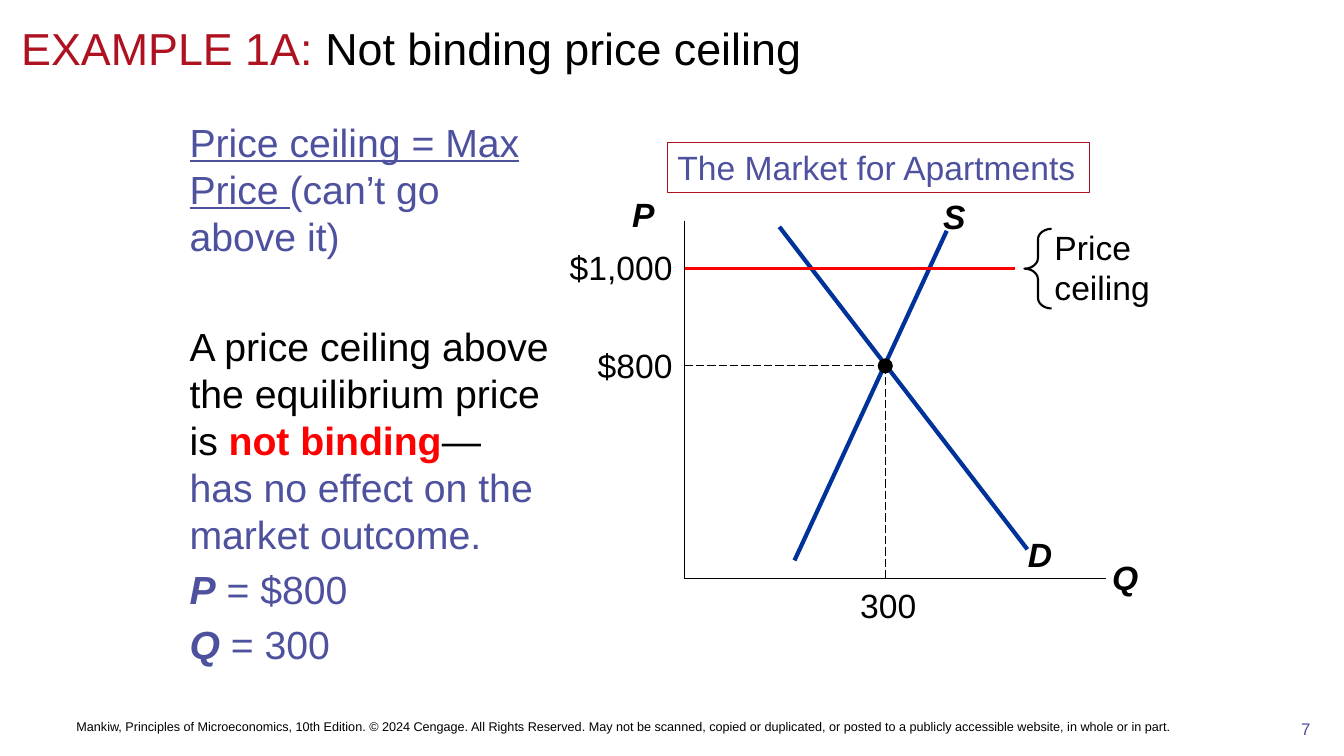
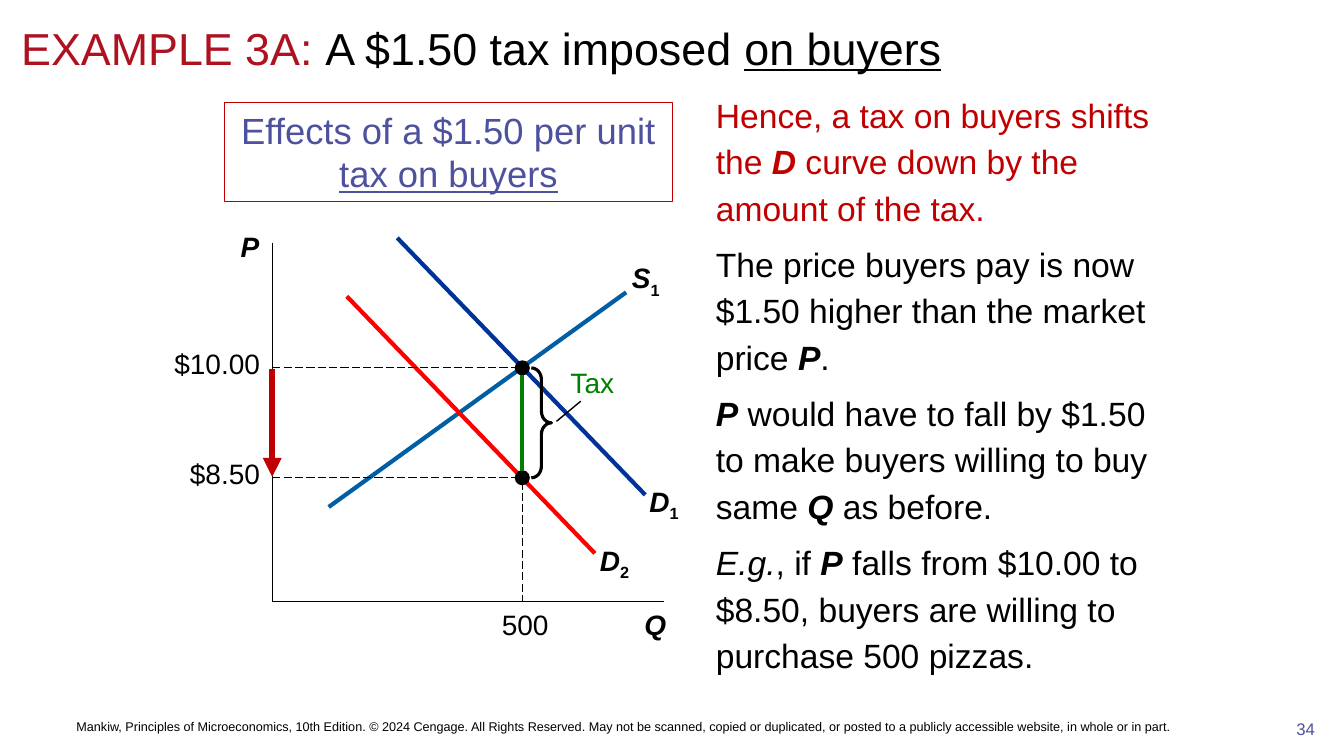
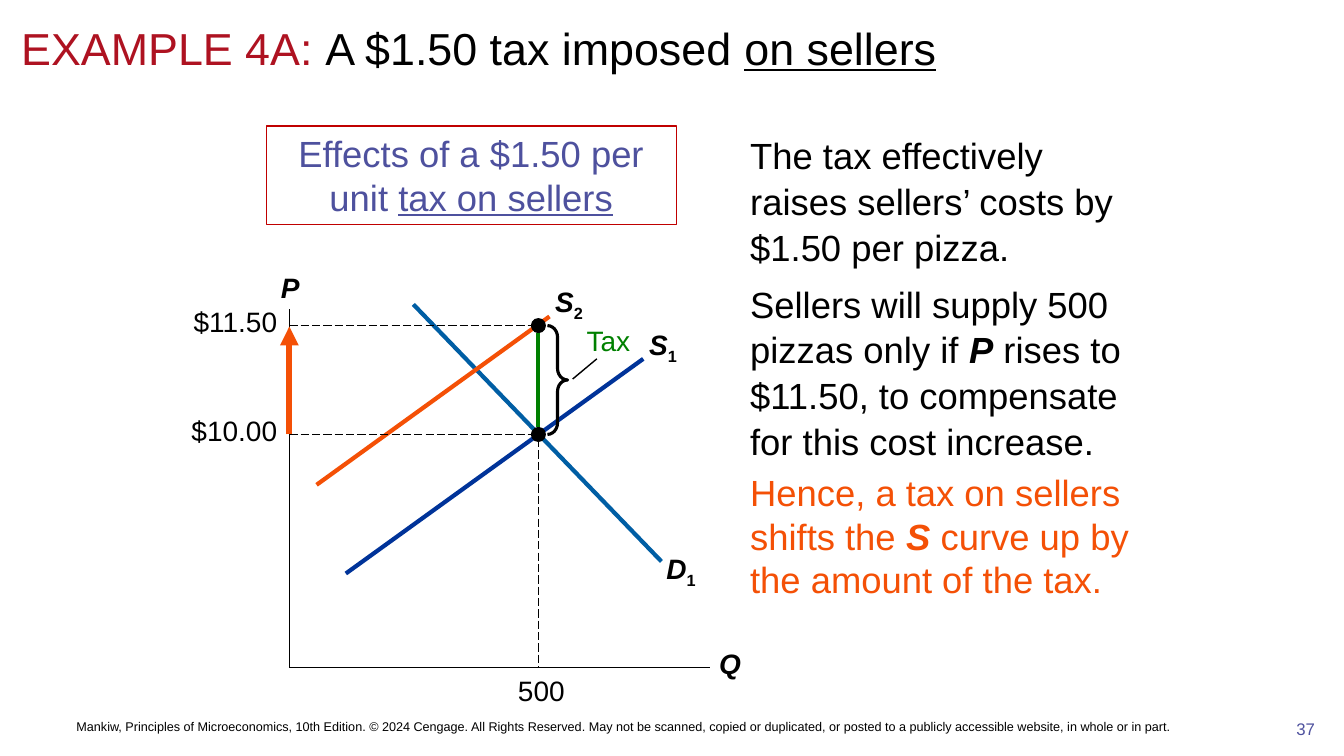
from lxml import etree
from pptx import Presentation
from pptx.dml.color import RGBColor
from pptx.enum import dml, shapes, text
from pptx.oxml.ns import qn
from pptx.util import Inches, Pt

FONT = "Arial"
BLACK = RGBColor(0x00, 0x00, 0x00)
CRIMSON = RGBColor(0xAE, 0x12, 0x21)
DARK_RED = RGBColor(0xC0, 0x00, 0x00)
RED = RGBColor(0xFF, 0x00, 0x00)
ORANGE = RGBColor(0xF4, 0x50, 0x06)
GREEN = RGBColor(0x00, 0x80, 0x00)
VIOLET = RGBColor(0x4E, 0x51, 0x9E)
NAVY = RGBColor(0x00, 0x33, 0x99)
BLUE = RGBColor(0x00, 0x5E, 0xA4)

LEFT, CENTER, RIGHT = text.PP_ALIGN.LEFT, text.PP_ALIGN.CENTER, text.PP_ALIGN.RIGHT
COPYRIGHT = (
    "Mankiw, Principles of Microeconomics, 10th Edition. © 2024 Cengage. "
    "All Rights Reserved. May not be scanned, copied or duplicated, or posted "
    "to a publicly accessible website, in whole or in part."
)
DOT = 0.15


def write(frame, paragraphs, size, color=BLACK, align=LEFT):
    """Fill a frame; a run is (text, marks, colour), marks being b, i, u or _ (subscript)."""
    frame.word_wrap = True
    frame.auto_size = text.MSO_AUTO_SIZE.NONE
    for index, runs in enumerate(paragraphs):
        paragraph = frame.add_paragraph() if index else frame.paragraphs[0]
        paragraph.alignment = align
        for words, *look in runs:
            if words == "\n":
                paragraph.add_line_break()
                continue
            marks = look[0] if look else ""
            run = paragraph.add_run()
            run.text = words
            run.font.name = FONT
            run.font.size = Pt(size)
            run.font.color.rgb = look[1] if len(look) > 1 else color
            run.font.bold = "b" in marks
            run.font.italic = "i" in marks
            run.font.underline = "u" in marks
            if "_" in marks:
                run._r.get_or_add_rPr().set("baseline", "-25000")


def draw_line(slide, x1, y1, x2, y2, color=BLACK, width=1.0, dashed=False, arrow=False):
    connector = slide.shapes.add_connector(
        shapes.MSO_CONNECTOR.STRAIGHT, Inches(x1), Inches(y1), Inches(x2), Inches(y2))
    connector.line.color.rgb = color
    connector.line.width = Pt(width)
    if dashed:
        connector.line.dash_style = dml.MSO_LINE.LONG_DASH
    properties = connector._element.spPr
    if arrow:
        etree.SubElement(properties.find(qn("a:ln")), qn("a:tailEnd")).set("type", "triangle")
    etree.SubElement(properties, qn("a:effectLst"))


# Body paragraphs are (space before, line spacing, runs).
# Curves are (x1, y1, x2, y2, colour, letter, subscript, label left, label top).
# Points are (price label, y), highest price first.
examples = [
    dict(
        number="7",
        title=[("EXAMPLE 1A: ", "", CRIMSON), ("Not binding price ceiling",)],
        body_at=(1.78, 1.12, 3.83, 5.58), body_size=28,
        body=[
            (0, 1, [("Price ceiling = Max Price ", "u", VIOLET),
                    ("(can’t go above it)", "", VIOLET)]),
            (45, 1, [("A price ceiling above the equilibrium price is ",),
                     ("not binding", "b", RED), ("—",), ("\n",),
                     ("has no effect on the market outcome.", "", VIOLET)]),
            (5.6, 1, [("P", "bi", VIOLET), (" = $800", "", VIOLET)]),
            (5.6, 1, [("Q", "bi", VIOLET), (" = 300", "", VIOLET)]),
        ],
        heading=[("The Market for Apartments",)], heading_at=(6.62, 1.41, 4.19, 0.5),
        heading_size=24, heading_align=LEFT, heading_line=CRIMSON,
        label_size=24, origin=(6.79, 5.74), axis_top=2.19, axis_right=10.97,
        p_at=(6.15, 1.87), q_at=(10.91, 5.48),
        curves=[(7.73, 2.25, 10.19, 5.45, NAVY, "D", "", 9.98, 5.25),
                (7.88, 5.56, 9.39, 2.29, NAVY, "S", "", 9.13, 1.89)],
        quantity=("300", 8.78), points=[("$800", 3.63)], ceiling=("$1,000", 2.66),
    ),
    dict(
        number="34",
        title=[("EXAMPLE 3A: ", "", CRIMSON), ("A $1.50 tax imposed ",), ("on buyers", "u")],
        body_at=(7, 0.83, 4.58, 6.25), body_size=24,
        body=[
            (0, 1.15, [("Hence, a tax on buyers shifts the ", "", DARK_RED),
                       ("D", "bi", DARK_RED),
                       (" curve down by the amount of the tax.", "", DARK_RED)]),
            (7.2, 1.15, [("The price buyers pay is now $1.50 higher than the market price ",),
                         ("P", "bi"), (".",)]),
            (7.2, 1.15, [("P", "bi"),
                         (" would have to fall by $1.50 to make buyers willing to buy same ",),
                         ("Q ", "bi"), ("as before.",)]),
            (7.2, 1.15, [("E.g.", "i"), (", if ",), ("P", "bi"),
                         (" falls from $10.00 to $8.50, buyers are willing to "
                          "purchase 500 pizzas.",)]),
        ],
        heading=[("Effects of a $1.50 per unit ",), ("tax on buyers", "u")],
        heading_at=(2.23, 1.02, 4.44, 0.98),
        heading_size=26, heading_align=CENTER, heading_line=DARK_RED,
        label_size=20, origin=(2.7, 5.97), axis_top=2.41, axis_right=6.59,
        p_at=(2.25, 2.23), q_at=(6.25, 5.98),
        curves=[(3.26, 5.03, 6.21, 2.9, BLUE, "S", "1", 6.07, 2.54),
                (3.94, 2.36, 6.4, 4.91, NAVY, "D", "1", 6.25, 4.76),
                (3.44, 2.94, 5.9, 5.49, RED, "D", "2", 5.76, 5.34)],
        quantity=("500", 5.18), points=[("$10.00", 3.65), ("$8.50", 4.74)],
        price_arrow=(3.66, 4.73, DARK_RED),
    ),
    dict(
        number="37",
        title=[("EXAMPLE 4A: ", "", CRIMSON), ("A $1.50 tax imposed ",), ("on sellers", "u")],
        body_at=(7.34, 1.25, 4.06, 6), body_size=26,
        body=[
            (0, 1.05, [("The tax effectively raises sellers’ costs by $1.50 per pizza.",)]),
            (7.8, 1.05, [("Sellers will supply 500 pizzas only if ",), ("P", "bi"),
                         (" rises to $11.50, to compensate for this cost increase.",)]),
            (5.2, 1, [("Hence, a tax on sellers shifts the ", "", ORANGE),
                      ("S", "bi", ORANGE),
                      (" curve up by the amount of the tax.", "", ORANGE)]),
        ],
        heading=[("Effects of a $1.50 per unit ",), ("tax on sellers", "u")],
        heading_at=(2.64, 1.25, 4.07, 0.98),
        heading_size=26, heading_align=CENTER, heading_line=DARK_RED,
        label_size=20, origin=(2.87, 6.62), axis_top=3.07, axis_right=7.04,
        p_at=(2.65, 2.63), q_at=(6.99, 6.36),
        curves=[(3.43, 5.69, 6.38, 3.56, NAVY, "S", "1", 6.24, 3.2),
                (4.1, 3.02, 6.56, 5.57, BLUE, "D", "1", 6.42, 5.42),
                (3.14, 4.81, 5.45, 3.14, ORANGE, "S", "2", 5.31, 2.77)],
        quantity=("500", 5.34), points=[("$11.50", 3.23), ("$10.00", 4.31)],
        price_arrow=(4.31, 3.24, ORANGE),
    ),
]

deck = Presentation()
deck.slide_width, deck.slide_height = Inches(13.33), Inches(7.5)

for example in examples:
    slide = deck.slides.add_slide(deck.slide_layouts[1])
    title, body = slide.shapes.title, slide.placeholders[1]
    for holder, box in ((title, (0.11, 0.11, 13, 0.72)), (body, example["body_at"])):
        holder.left, holder.top, holder.width, holder.height = map(Inches, box)
    write(title.text_frame, [example["title"]], 32)
    title.text_frame.vertical_anchor = text.MSO_ANCHOR.MIDDLE

    write(body.text_frame, [runs for _, _, runs in example["body"]], example["body_size"])
    for paragraph, (before, spacing, _) in zip(body.text_frame.paragraphs, example["body"]):
        layout = paragraph._p.get_or_add_pPr()
        layout.set("marL", "0")
        layout.set("indent", "0")
        etree.SubElement(layout, qn("a:buNone"))
        paragraph.space_before = Pt(before)
        paragraph.line_spacing = spacing

    # Axes and curves
    axis_x, axis_y = example["origin"]
    draw_line(slide, axis_x, example["axis_top"], axis_x, axis_y)
    draw_line(slide, axis_x, axis_y, example["axis_right"], axis_y)
    size = example["label_size"]
    # Labels are (left, top, width, height, runs, alignment, has margins)
    labels = [(*example["p_at"], 0.46, 0.5, [("P", "bi")], CENTER, True),
              (*example["q_at"], 0.5, 0.5, [("Q", "bi")], CENTER, True)]
    for x1, y1, x2, y2, color, letter, subscript, left, top in example["curves"]:
        draw_line(slide, x1, y1, x2, y2, color, 3)
        runs = [(letter, "bi")] + ([(subscript, "b_")] if subscript else [])
        labels.append((left, top, 0.67, 0.5, runs, CENTER, True))

    # Prices and quantity
    quantity, point_x = example["quantity"]
    points = example["points"]
    high, low = points[0][1], points[-1][1]
    draw_line(slide, point_x, high, point_x, axis_y, width=0.75, dashed=True)
    labels.append((point_x - 0.45, axis_y + 0.06, 0.96, 0.4, [(quantity,)], CENTER, False))
    for price, y in points:
        draw_line(slide, axis_x, y, point_x, y, width=0.75, dashed=True)
        dot = slide.shapes.add_shape(
            shapes.MSO_SHAPE.OVAL, Inches(point_x - DOT / 2), Inches(y - DOT / 2),
            Inches(DOT), Inches(DOT))
        dot.shadow.inherit = False
        dot.fill.solid()
        dot.fill.fore_color.rgb = BLACK
        dot.line.fill.background()
    prices = points + ([example["ceiling"]] if "ceiling" in example else [])
    for price, y in prices:
        labels.append((axis_x - 1.37, y - 0.21, 1.25, 0.4, [(price,)], RIGHT, False))

    # Price ceiling, or the tax between the two prices
    if "ceiling" in example:
        y = example["ceiling"][1]
        draw_line(slide, axis_x, y, 10.07, y, RED, 2.25)
        labels.append((10.36, y - 0.46, 1.22, 0.91, [("Price ceiling",)], LEFT, True))
        brace_kind, brace_at = shapes.MSO_SHAPE.LEFT_BRACE, (10.16, y - 0.39, 0.27, 0.79)
        brace_curve, brace_width = 0.39, 1.5
    else:
        start, tip, color = example["price_arrow"]
        draw_line(slide, axis_x, start, axis_x, tip, color, 4.5, arrow=True)
        draw_line(slide, point_x, high + 0.07, point_x, low - 0.07, GREEN, 3)
        draw_line(slide, point_x + 0.34, high + 0.53, point_x + 0.58, high + 0.33)
        labels.append((point_x + 0.24, high - 0.07, 0.77, 0.44,
                       [("Tax", "", GREEN)], RIGHT, True))
        brace_kind = shapes.MSO_SHAPE.RIGHT_BRACE
        brace_at = (point_x + 0.09, high, 0.2, low - high)
        brace_curve, brace_width = 0.57, 2.25
    brace = slide.shapes.add_shape(brace_kind, *map(Inches, brace_at))
    brace.shadow.inherit = False
    brace.adjustments[0] = brace_curve
    brace.fill.background()
    brace.line.color.rgb = BLACK
    brace.line.width = Pt(brace_width)

    for left, top, width, height, runs, align, has_margins in labels:
        frame = slide.shapes.add_textbox(*map(Inches, (left, top, width, height))).text_frame
        write(frame, [runs], size, align=align)
        if not has_margins:
            frame.margin_left = frame.margin_right = 0
            frame.margin_top = frame.margin_bottom = 0

    heading = slide.shapes.add_shape(
        shapes.MSO_SHAPE.RECTANGLE, *map(Inches, example["heading_at"]))
    heading.shadow.inherit = False
    heading.fill.background()
    heading.line.color.rgb = example["heading_line"]
    heading.line.width = Pt(0.75)
    write(heading.text_frame, [example["heading"]], example["heading_size"],
          VIOLET, example["heading_align"])
    heading.text_frame.vertical_anchor = text.MSO_ANCHOR.TOP

    number = slide.shapes.add_textbox(*map(Inches, (12.57, 7.08, 0.76, 0.41)))
    write(number.text_frame, [[(example["number"],)]], 12, VIOLET, CENTER)
    footer = slide.shapes.add_textbox(*map(Inches, (0.66, 6.92, 12.11, 0.58)))
    write(footer.text_frame, [[(COPYRIGHT,)]], 9)
    footer.text_frame.vertical_anchor = text.MSO_ANCHOR.MIDDLE

deck.save("out.pptx")
